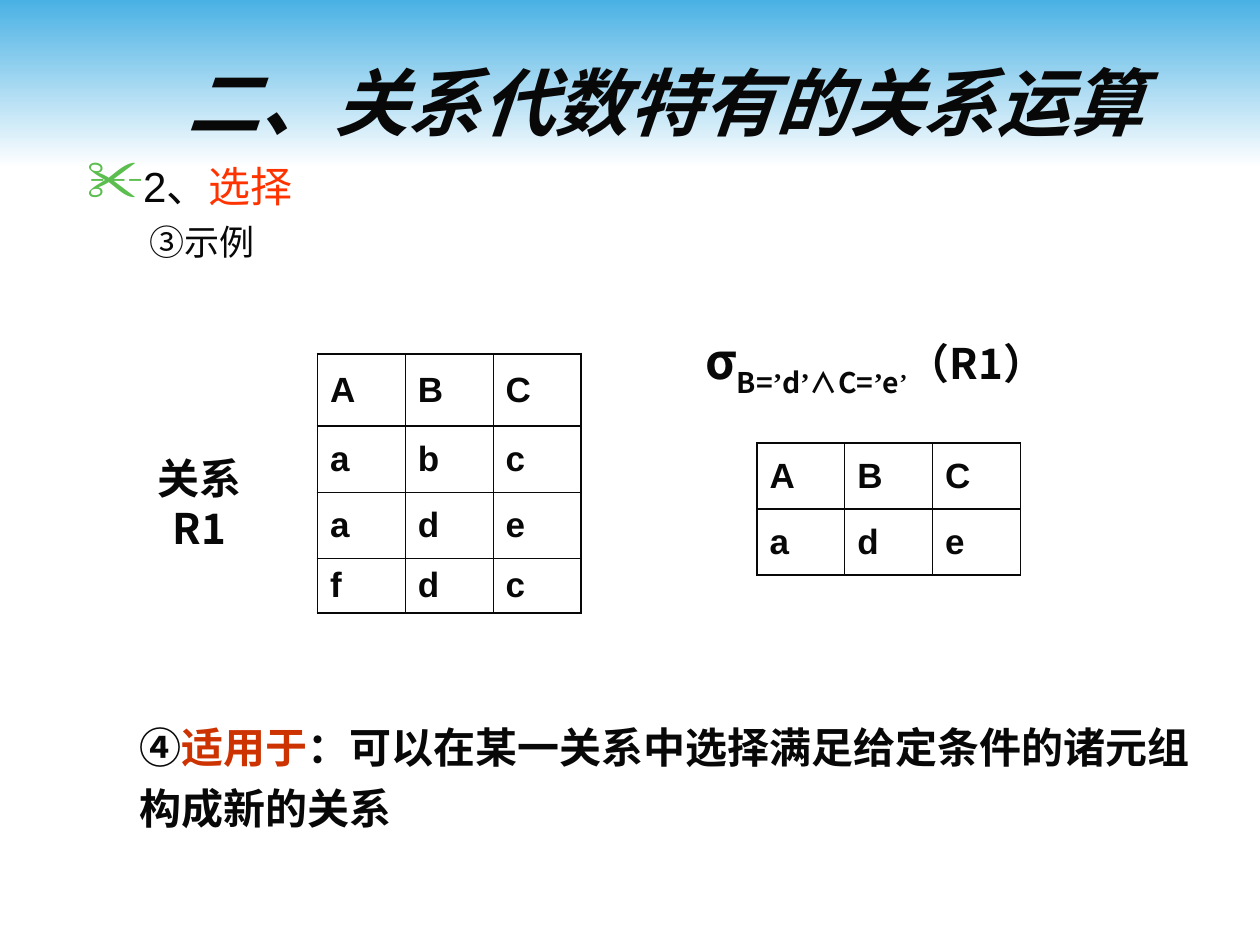
from dataclasses import dataclass
from typing import Optional

from lxml import etree
from pptx import Presentation
from pptx import util as u
from pptx.dml.color import RGBColor
from pptx.enum import shapes, text
from pptx.oxml import ns


@dataclass(frozen=True)
class Theme:
    sky: str = "4AB1E4"
    paper: str = "FFFFFF"
    ink: str = "080808"
    topic: str = "FF3300"
    usage: str = "CC3300"
    bullet: str = "5BBE4E"
    latin: str = "Arial"
    cjk: str = "Noto Sans CJK SC"
    quote: str = "Times New Roman"
    title_size: float = 42
    sigma_size: float = 28
    body_size: float = 24
    small_size: float = 20
    thick: float = 1.08
    thin: float = 0.45


THEME = Theme()


@dataclass(frozen=True)
class Run:
    words: str
    size: float = THEME.body_size
    font: str = THEME.cjk
    color: str = THEME.ink
    bold: bool = True
    italic: bool = False
    baseline: int = 0
    break_before: bool = False


@dataclass(frozen=True)
class Line:
    runs: tuple[Run, ...]
    align: text.PP_ALIGN = text.PP_ALIGN.LEFT
    before: float = 0
    spacing: Optional[float] = None
    margin: float = 0
    indent: float = 0
    bullet: str = ""


@dataclass(frozen=True)
class Box:
    left: float
    top: float
    width: float
    height: float
    lines: tuple[Line, ...]
    wrap: bool = True
    anchor: text.MSO_ANCHOR = text.MSO_ANCHOR.TOP


@dataclass(frozen=True)
class Relation:
    left: float
    top: float
    row_heights: tuple[float, ...]
    rows: tuple[str, ...]
    col_width: float = 1.77


def child(parent, tag: str, **attributes: str):
    return etree.SubElement(parent, ns.qn(tag), attributes)


def add_run(paragraph, item: Run) -> None:
    if item.break_before:
        paragraph.add_line_break()
    run = paragraph.add_run()
    run.text = item.words
    font = run.font
    font.size = u.Pt(item.size)
    font.bold, font.italic = item.bold, item.italic
    font.color.rgb = RGBColor.from_string(item.color)
    font.name = item.font
    props = run._r.get_or_add_rPr()
    child(props, "a:ea", typeface=THEME.cjk)
    if item.baseline:
        props.set("baseline", str(item.baseline * 1000))


def add_line(paragraph, line: Line) -> None:
    props = paragraph._p.get_or_add_pPr()
    props.set("marL", str(u.Cm(line.margin)))
    props.set("indent", str(u.Cm(line.indent)))
    if line.bullet:
        child(child(props, "a:buClr"), "a:srgbClr", val=THEME.bullet)
        child(props, "a:buSzPct", val="140000")
        child(props, "a:buChar", char=line.bullet)
    paragraph.alignment = line.align
    paragraph.space_before = u.Pt(line.before)
    if line.spacing:
        paragraph.line_spacing = line.spacing
    for item in line.runs:
        add_run(paragraph, item)


def add_box(slide, box: Box) -> None:
    frame = slide.shapes.add_textbox(
        u.Cm(box.left), u.Cm(box.top), u.Cm(box.width), u.Cm(box.height)
    ).text_frame
    frame.word_wrap = box.wrap
    frame.vertical_anchor = box.anchor
    for index, line in enumerate(box.lines):
        add_line(frame.add_paragraph() if index else frame.paragraphs[0], line)


def set_border(cell, side: str, width: float) -> None:
    edge = child(cell._tc.get_or_add_tcPr(), f"a:ln{side}", w=str(u.Pt(width)))
    child(child(edge, "a:solidFill"), "a:srgbClr", val=THEME.ink)


def add_relation(slide, relation: Relation) -> None:
    row_count, col_count = len(relation.rows), len(relation.rows[0])
    grid = slide.shapes.add_table(
        row_count, col_count, u.Cm(relation.left), u.Cm(relation.top),
        u.Cm(relation.col_width * col_count), u.Cm(sum(relation.row_heights)),
    ).table
    grid.first_row = grid.horz_banding = False
    for column in grid.columns:
        column.width = u.Cm(relation.col_width)
    for r, (height, values) in enumerate(zip(relation.row_heights, relation.rows)):
        grid.rows[r].height = u.Cm(height)
        for c, value in enumerate(values):
            cell = grid.cell(r, c)
            cell.vertical_anchor = text.MSO_ANCHOR.MIDDLE
            thick_sides = {
                "L": c == 0,
                "R": c == col_count - 1,
                "T": r <= 1,
                "B": r in (0, row_count - 1),
            }
            for side, is_thick in thick_sides.items():
                set_border(cell, side, THEME.thick if is_thick else THEME.thin)
            cell.fill.background()
            add_line(cell.text_frame.paragraphs[0],
                     Line((Run(value, THEME.small_size, THEME.latin),)))


def add_sky(slide, width: float, height: float) -> None:
    band = slide.shapes.add_shape(
        shapes.MSO_SHAPE.RECTANGLE, 0, 0, u.Cm(width), u.Cm(height))
    band.shadow.inherit = False
    band.line.fill.background()
    band.fill.gradient()
    band.fill.gradient_angle = 270
    for stop, position, color in zip(
            band.fill.gradient_stops, (0, 1), (THEME.sky, THEME.paper)):
        stop.position = position
        stop.color.rgb = RGBColor.from_string(color)


def subscript(words: str, font: str = THEME.cjk, size: float = THEME.sigma_size) -> Run:
    return Run(words, size, font, baseline=-30)


CENTER = text.PP_ALIGN.CENTER
TITLE = Box(2.69, 0.64, 21.44, 2.41, (
    Line((Run("二、关系代数特有的关系运算", THEME.title_size, THEME.latin, italic=True),), CENTER),
), anchor=text.MSO_ANCHOR.BOTTOM)
TOPIC = Box(1.5, 3.12, 22.4, 15.19, (
    Line((Run("2", font=THEME.latin, bold=False), Run("、", bold=False),
          Run("选择", color=THEME.topic, bold=False)),
         margin=1, indent=-1, bullet="✂"),
    Line((Run("③示例", THEME.small_size, bold=False),),
         before=5, margin=2.06, indent=-0.79),
))
RELATION_LABEL = Box(2.31, 8.99, 3.43, 1.27, (
    Line((Run("关系"), Run("R1", break_before=True)), CENTER),
), wrap=False)
FORMULA = Box(13.97, 6.53, 7.98, 1.65, (
    Line((Run("σ", THEME.sigma_size), subscript("B="), subscript("’", THEME.quote),
          subscript("d"), subscript("’", THEME.quote), subscript("∧C="),
          subscript("’", THEME.quote), subscript("e"),
          subscript("’", THEME.quote, THEME.body_size), Run("（R1）"))),
), wrap=False)
USAGE = Box(1.3, 14.22, 23.01, 2.69, (
    Line((Run("④"), Run("适用于", color=THEME.usage),
          Run("：可以在某一关系中选择满足给定条件的诸元组构成新的关系")),
         spacing=1.2, margin=1.27),
))
SOURCE_RELATION = Relation(6.4, 7.13, (1.46, 1.33, 1.33, 1.1), ("ABC", "abc", "ade", "fdc"))
SELECTED_RELATION = Relation(15.26, 8.93, (1.33, 1.33), ("ABC", "ade"))


def main() -> None:
    deck = Presentation()
    deck.slide_width, deck.slide_height = u.Cm(25.4), u.Cm(19.05)
    slide = deck.slides.add_slide(deck.slide_layouts[6])
    add_sky(slide, 25.4, 3.38)
    for box in (TITLE, TOPIC, RELATION_LABEL, FORMULA, USAGE):
        add_box(slide, box)
    for relation in (SOURCE_RELATION, SELECTED_RELATION):
        add_relation(slide, relation)
    deck.save("out.pptx")


if __name__ == "__main__":
    main()
